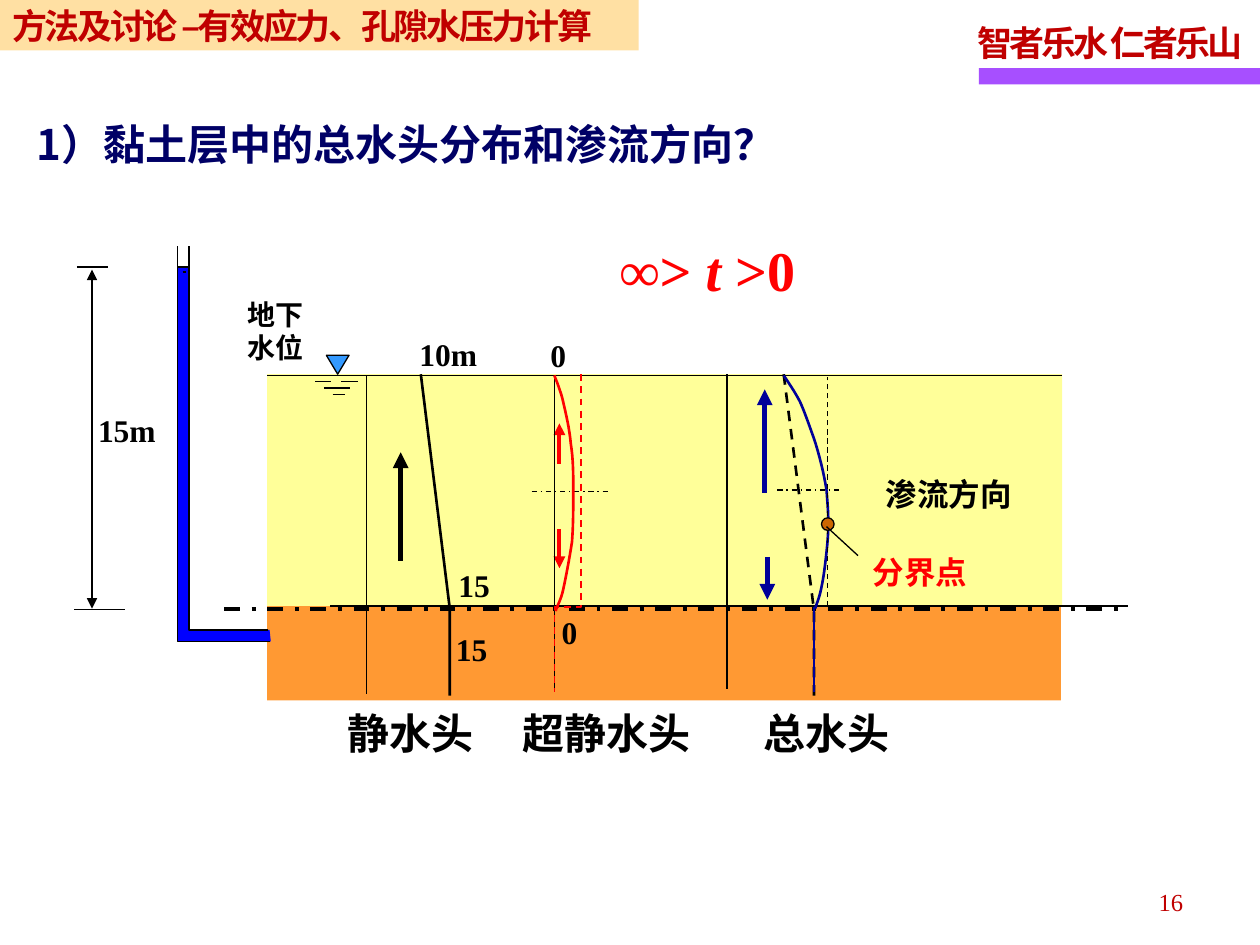
from dataclasses import dataclass

from lxml import etree
from pptx import Presentation
from pptx.dml.color import RGBColor
from pptx.enum.dml import MSO_LINE
from pptx.enum.shapes import MSO_CONNECTOR, MSO_SHAPE
from pptx.enum.text import MSO_ANCHOR, MSO_AUTO_SIZE, PP_ALIGN
from pptx.oxml.ns import qn
from pptx.util import Inches, Pt

DASH, DASH_DOT = MSO_LINE.DASH, MSO_LINE.DASH_DOT
RECTANGLE, OVAL = MSO_SHAPE.RECTANGLE, MSO_SHAPE.OVAL
TRIANGLE, STRAIGHT = MSO_SHAPE.ISOSCELES_TRIANGLE, MSO_CONNECTOR.STRAIGHT
LEFT, RIGHT = PP_ALIGN.LEFT, PP_ALIGN.RIGHT
TOP, MIDDLE = MSO_ANCHOR.TOP, MSO_ANCHOR.MIDDLE
SERIF, SANS = "Times New Roman", "Noto Sans CJK SC"
COLORS = {
    "black": "000000", "red": "FF0000", "navy": "000099", "title": "000066",
    "crimson": "C00000", "purple": "A74FFF", "banner": "FFCC66", "clay": "FFFF99",
    "sand": "FF9933", "water": "0000FF", "level": "3399FF", "point": "CC6600",
}
# The slide is a grid of 100 columns by 75 rows; all places are in grid cells
COLUMNS, ROWS, CELL = 100, 75, Inches(0.1)
CLAY_TOP, CLAY_BOTTOM = 29.8, 48.1


@dataclass
class Block:
    """A preset shape at left, top, width, height."""
    box: tuple
    fill: str
    preset: int = RECTANGLE
    outline: str | None = None


@dataclass
class Stroke:
    """A line through two or more points."""
    points: list
    color: str = "black"
    width: float = 0.75
    dash: int | None = None
    arrows: tuple = ()


@dataclass
class Label:
    """Text as (words, font name, italic) runs; a line break starts a paragraph."""
    box: tuple
    runs: list
    size: float
    color: str = "black"
    bold: bool = True
    spacing: float = 1.0
    tracking: int = 0
    align: int = LEFT
    anchor: int = TOP
    margin: float = 1.0


def cells(values) -> list[int]:
    return [round(value * CELL) for value in values]


def rgb(name: str) -> RGBColor:
    return RGBColor.from_string(COLORS[name])


def curve(start: tuple, *segments: tuple, steps: int = 8) -> list[tuple]:
    """Points along joined cubic curves, each given as x1, y1, x2, y2, x3, y3."""
    points = [start]
    for x1, y1, x2, y2, x3, y3 in segments:
        x0, y0 = points[-1]
        for step in range(1, steps + 1):
            t = step / steps
            a, b, c, d = (1 - t) ** 3, 3 * t * (1 - t) ** 2, 3 * t * t * (1 - t), t ** 3
            points.append((a * x0 + b * x1 + c * x2 + d * x3,
                           a * y0 + b * y1 + c * y2 + d * y3))
    return points


def draw_block(slide, block: Block):
    shape = slide.shapes.add_shape(block.preset, *cells(block.box))
    shape.shadow.inherit = False
    shape.fill.solid()
    shape.fill.fore_color.rgb = rgb(block.fill)
    if block.outline:
        shape.line.color.rgb = rgb(block.outline)
        shape.line.width = Pt(0.75)
    else:
        shape.line.fill.background()
    return shape


def build_outline(slide, points: list, close: bool):
    first, *rest = [cells(point) for point in points]
    builder = slide.shapes.build_freeform(*first)
    builder.add_line_segments(rest, close=close)
    shape = builder.convert_to_shape()
    shape.shadow.inherit = False
    return shape


def draw_stroke(slide, stroke: Stroke) -> None:
    if len(stroke.points) == 2:
        start, end = stroke.points
        shape = slide.shapes.add_connector(STRAIGHT, *cells(start), *cells(end))
    else:
        shape = build_outline(slide, stroke.points, close=False)
        shape.fill.background()
    line = shape.line
    line.color.rgb = rgb(stroke.color)
    line.width = Pt(stroke.width)
    if stroke.dash is not None:
        line.dash_style = stroke.dash
    properties = shape._element.spPr
    for end in stroke.arrows:
        etree.SubElement(properties.find(qn("a:ln")), qn(f"a:{end}"), type="triangle")
    if len(stroke.points) == 2:
        etree.SubElement(properties, qn("a:effectLst"))


def write(shape, label: Label) -> None:
    frame = shape.text_frame
    margin = round(label.margin * CELL)
    settings = {
        "word_wrap": False, "auto_size": MSO_AUTO_SIZE.NONE, "vertical_anchor": label.anchor,
        "margin_left": margin, "margin_right": margin,
        "margin_top": Inches(0.05), "margin_bottom": Inches(0.05),
    }
    for name, value in settings.items():
        setattr(frame, name, value)
    paragraph = frame.paragraphs[0]
    for words, font_name, italic in label.runs:
        for index, words_in_line in enumerate(words.split("\n")):
            if index:
                paragraph = frame.add_paragraph()
            paragraph.alignment, paragraph.line_spacing = label.align, label.spacing
            paragraph.space_before = Pt(0)
            run = paragraph.add_run()
            run.text = words_in_line
            look = {"name": font_name, "size": Pt(label.size), "bold": label.bold, "italic": italic}
            for name, value in look.items():
                setattr(run.font, name, value)
            run.font.color.rgb = rgb(label.color)
            properties = run._r.get_or_add_rPr()
            if label.tracking:
                properties.set("spc", str(label.tracking))
            east_asian = etree.Element(qn("a:ea"), typeface=SANS)
            properties.find(qn("a:latin")).addnext(east_asian)


def draw_label(slide, label: Label) -> None:
    write(slide.shapes.add_textbox(*cells(label.box)), label)


def serif(words: str) -> list[tuple]:
    return [(words, SERIF, False)]


def number(x: float, y: float, width: float, words: str) -> Label:
    return Label((x, y, width, 4.6), serif(words), 18, spacing=1.2)


def caption(x: float, width: float, words: str) -> Label:
    return Label((x, 55.7, width, 5), serif(words), 24)


def arrow(x: float, start: float, end: float, color: str, width: float = 3) -> Stroke:
    return Stroke([(x, start), (x, end)], color, width, arrows=("tailEnd",))


def level(y: float, left: float, right: float, **look) -> Stroke:
    return Stroke([(left, y), (right, y)], **look)


def plumb(x: float, top: float, bottom: float, **look) -> Stroke:
    return Stroke([(x, top), (x, bottom)], **look)


SOIL = [Block((21.2, 47, 63, 8.6), "sand"), Block((21.2, 29.7, 63.1, 18.4), "clay")]
GROUND = [
    level(CLAY_TOP, 21.2, 84.3), level(CLAY_BOTTOM, 26.2, 89.5),
    level(48.3, 17.8, 89.3, width=2.25, dash=DASH_DOT),
    level(30.3, 25, 26.3), level(30.3, 27.1, 28.4), level(30.8, 25.7, 27.8), level(31.3, 26.4, 27.4),
]
WATER = [(21.4, 50), (15, 50), (15, 21.2), (14.1, 21.2), (14.1, 50.9), (21.5, 50.9)]
TUBE = [
    Stroke([(21.3, 50), (15, 50), (15, 19.5)]), Stroke([(21.4, 50.9), (14.1, 50.9), (14.1, 19.5)]),
    level(21.2, 14.1, 15), level(21.6, 14.5, 14.8),
    plumb(7.3, 48.3, 21.4, arrows=("headEnd", "tailEnd")), level(21.2, 6.1, 8.6), level(48.4, 5.9, 9.9),
]
STATIC_HEAD = [
    plumb(29.1, CLAY_TOP, 55.1), Stroke([(33.4, 29.7), (35.7, 48.3), (35.7, 55.2)], width=1.5),
    arrow(31.8, 44.5, 35.9, "black"),
]
EXCESS_HEAD = [
    arrow(44.4, 36.8, 33.6, "red", 2.25), arrow(44.4, 42, 45.1, "red", 2.25),
    plumb(44, CLAY_TOP, 54.9),
    Stroke([(46.1, 29.7), (46.1, 48.2), (44, 48.2), (44, 54.9)], "red", 1, DASH),
    level(39, 42.2, 48.5, dash=DASH_DOT),
    Stroke(curve((44, 29.8), (44.1, 30.1, 44.5, 31, 44.7, 31.9), (44.9, 32.8, 45.2, 34, 45.3, 35.2),
                 (45.5, 36.4, 45.5, 37.7, 45.5, 39), (45.5, 40.3, 45.5, 41.7, 45.4, 43),
                 (45.2, 44.3, 44.9, 45.9, 44.7, 46.8), (44.5, 47.7, 44.2, 48.1, 44.1, 48.5)), "red", 1.5),
]
TOTAL_HEAD = [
    arrow(60.7, 39.1, 30.9, "navy"), arrow(60.9, 44.2, 47.6, "navy"),
    plumb(57.7, 29.7, 54.7),
    Stroke([(62.2, 29.7), (64.6, 48.4), (64.6, 55.2)], width=1.5, dash=DASH),
    level(38.9, 61.7, 66.9, dash=DASH_DOT),
    Stroke(curve((62.2, 29.8), (62.4, 30.1, 63.1, 31.1, 63.5, 31.9), (63.9, 32.8, 64.2, 33.7, 64.6, 34.8),
                 (65, 36, 65.4, 37.6, 65.6, 38.9), (65.7, 40.2, 65.8, 41.4, 65.7, 42.7),
                 (65.6, 44, 65.4, 45.7, 65.2, 46.6), (65, 47.6, 64.8, 47.9, 64.7, 48.3)), "navy", 1.5),
    plumb(64.6, 48.2, 54.9, color="navy", width=1.5), plumb(65.7, CLAY_BOTTOM, 29.9, dash=DASH),
]
LABELS = [
    Label((76.6, 0.7, 23.6, 4.9), serif("智者乐水 仁者乐山"), 20, "crimson", spacing=1.15, tracking=-170),
    Label((71.6, 69.6, 23.3, 4), serif("16"), 14, "crimson", False, 1.15, align=RIGHT),
    Label((18.7, 23.1, 6.6, 6.4), serif("地下\n水位"), 16),
    Label((48.2, 18.2, 14, 6.3), [("∞> ", SERIF, False), ("t ", SERIF, True), (">0", SERIF, False)], 32, "red"),
    Label((69.3, 37.2, 12.6, 4.2), serif("渗流方向"), 18),
    Label((68.3, 43.4, 9.8, 4), serif("分界点"), 18, "red"),
    number(6.8, 31.5, 6.7, "15m"), number(32.3, 25.5, 6.7, "10m"),
    number(35.4, 43.8, 4.6, "15"), number(35.2, 48.9, 4.6, "15"),
    number(42.7, 25.6, 3.3, "0"), number(43.6, 47.6, 3.3, "0"),
    caption(26.6, 12.2, "静水头"), caption(40.5, 15.4, "超静水头"), caption(59.6, 12, "总水头"),
]
TITLE = Label((2.9, 8.1, 60.3, 5.8), [("1）黏土层中的", SANS, False), ("总水头分布和", SERIF, False),
                                      ("渗流方向？", SANS, False)],
              24, "title", spacing=1.2, anchor=MIDDLE, margin=0)
BANNER = Label((0, 0, 50.7, 4), [("方法及讨论 –有效应力、孔隙水压力计算", SANS, False)],
               20, "crimson", tracking=-140, anchor=MIDDLE)


def main() -> None:
    presentation = Presentation()
    presentation.slide_width, presentation.slide_height = COLUMNS * CELL, ROWS * CELL
    slide = presentation.slides.add_slide(presentation.slide_layouts[5])

    # Title, banner and motto bar
    title = slide.shapes.title
    title.left, title.top, title.width, title.height = cells(TITLE.box)
    write(title, TITLE)
    banner = draw_block(slide, Block(BANNER.box, "banner"))
    color = banner._element.spPr.find(qn("a:solidFill"))[0]
    etree.SubElement(color, qn("a:alpha"), val="60000")
    write(banner, BANNER)
    draw_block(slide, Block((77.7, 5.4, 22.3, 1.3), "purple"))

    # Soil layers, water table and standpipe
    for layer in SOIL:
        draw_block(slide, layer)
    marker = draw_block(slide, Block((25.9, 28.2, 1.8, 1.5), "level", TRIANGLE, "black"))
    marker._element.spPr.find(qn("a:xfrm")).set("flipV", "1")
    water = build_outline(slide, WATER, close=True)
    water.fill.solid()
    water.fill.fore_color.rgb = rgb("water")
    water.line.fill.background()

    # Head diagrams, dividing point and its leader
    for stroke in GROUND + TUBE + STATIC_HEAD + EXCESS_HEAD + TOTAL_HEAD:
        draw_stroke(slide, stroke)
    draw_block(slide, Block((65.2, 41.1, 1, 1), "point", OVAL, "black"))
    draw_stroke(slide, Stroke([(65.6, 41.8), (68.1, 44.1)]))

    for label in LABELS:
        draw_label(slide, label)
    presentation.save("out.pptx")


if __name__ == "__main__":
    main()
